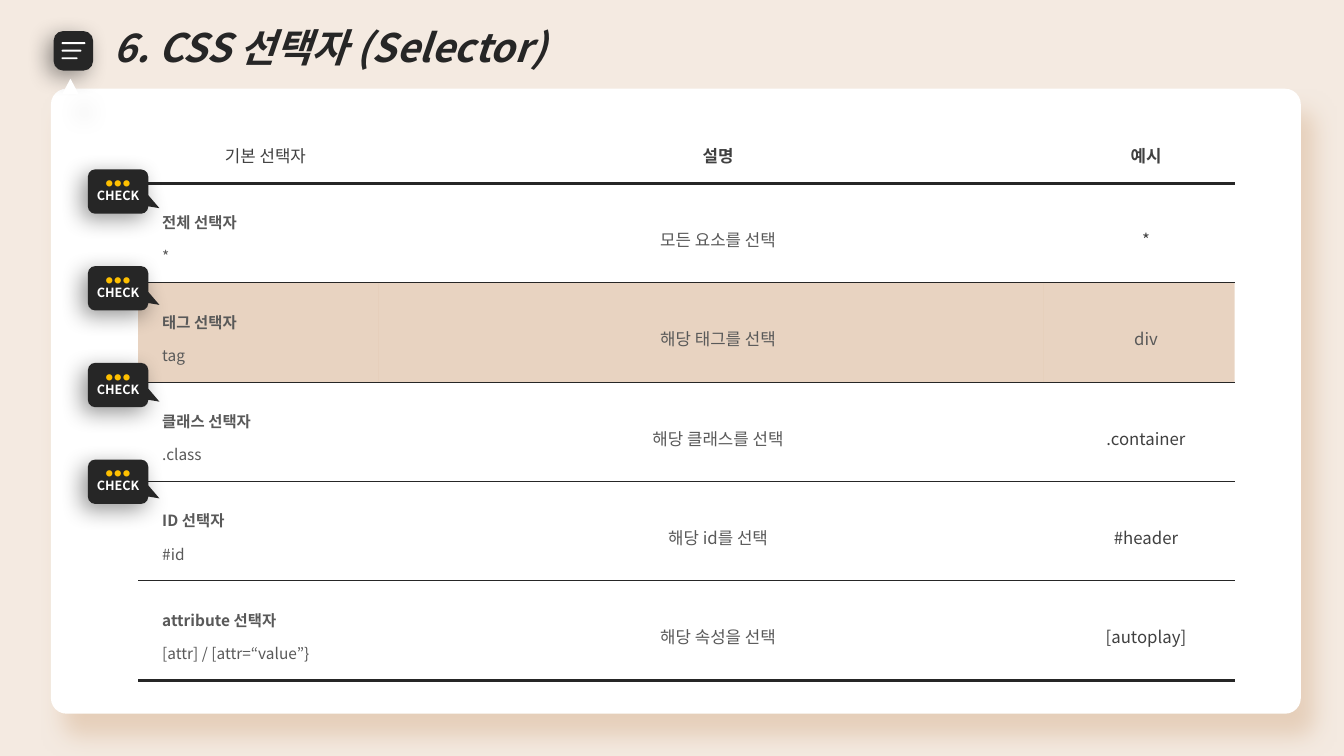
from dataclasses import dataclass

import pptx
import pptx.dml.color
import pptx.enum.shapes
import pptx.enum.text
import pptx.oxml
import pptx.oxml.ns
import pptx.util

Pt = pptx.util.Pt
RGB = pptx.dml.color.RGBColor.from_string
SHAPE = pptx.enum.shapes.MSO_SHAPE
ALIGN = pptx.enum.text.PP_ALIGN
MIDDLE = pptx.enum.text.MSO_ANCHOR.MIDDLE
NAMESPACE = pptx.oxml.ns.nsdecls("a")


@dataclass(frozen=True)
class Theme:
    font: str = "Noto Sans CJK KR"
    background: str = "F4EAE1"
    white: str = "FFFFFF"
    dark: str = "262626"
    strong: str = "404040"
    body: str = "595959"
    yellow: str = "FFC000"
    highlight: str = "C49060"
    panel_shadow: str = "E1C6AD"
    black: str = "000000"
    title_size: float = 28
    cell_size: float = 12
    name_size: float = 11
    check_size: float = 9
    dots_size: float = 5


theme = Theme()


def add_block(kind, box, color, adjustments=(), shadow=None):
    """Add a filled shape; shadow is (color, opacity %, blur, distance, degrees)."""
    block = page.shapes.add_shape(kind, *map(Pt, box))
    for index, value in enumerate(adjustments):
        block.adjustments[index] = value
    block.fill.solid()
    block.fill.fore_color.rgb = RGB(color)
    block.line.fill.background()
    block.shadow.inherit = False
    if shadow:
        tint, opacity, blur, distance, degrees = shadow
        effects = block._element.spPr.find(pptx.oxml.ns.qn("a:effectLst"))
        effects.append(pptx.oxml.parse_xml(
            f'<a:outerShdw {NAMESPACE} blurRad="{Pt(blur)}" dist="{Pt(distance)}" '
            f'dir="{degrees * 60000}" algn="ctr" rotWithShape="0">'
            f'<a:srgbClr val="{tint}"><a:alpha val="{opacity * 1000}"/></a:srgbClr>'
            f'</a:outerShdw>'))
    return block


def style_text(para, size, color, bold=False, align=ALIGN.LEFT):
    para.alignment = align
    for span in para.runs:
        span.font.name = theme.font
        span.font.size = Pt(size)
        span.font.bold = bold
        span.font.color.rgb = RGB(color)
        span.font._element.append(pptx.oxml.parse_xml(
            f'<a:ea {NAMESPACE} typeface="{theme.font}"/>'))


deck = pptx.Presentation()
deck.slide_width, deck.slide_height = Pt(960), Pt(540)
page = deck.slides.add_slide(deck.slide_layouts[6])
page.background.fill.solid()
page.background.fill.fore_color.rgb = RGB(theme.background)

# Panel, menu icon and pointer
icon_shadow = (theme.black, 40, 16, 6, 135)
add_block(SHAPE.ROUNDED_RECTANGLE, (36.4, 63.4, 892.8, 446.4), theme.white,
          [0.025], (theme.panel_shadow, 75, 16, 19, 60))
add_block(SHAPE.ROUNDED_RECTANGLE, (38.3, 22.2, 28.2, 28.2), theme.dark, [0.242], icon_shadow)
for index, width in enumerate((17, 14.2, 11.4)):
    add_block(SHAPE.ROUNDED_RECTANGLE, (44, 30.1 + 5.4 * index, width, 1.4), theme.white, [0.5])
add_block(SHAPE.ISOSCELES_TRIANGLE, (44.6, 56.2, 11.5, 10.8), theme.white,
          shadow=(theme.black, 11, 16, 19, 60))

# Title
title = page.shapes.add_textbox(Pt(74.2), Pt(13), Pt(565.2), Pt(41))
title.text_frame.word_wrap = True
title.text_frame.text = "6. CSS 선택자 (Selector)"
style_text(title.text_frame.paragraphs[0], theme.title_size, theme.dark, True)
title.text_frame.paragraphs[0].runs[0].font.italic = True

# Selector table
headings = ("기본 선택자", "설명", "예시")
selectors = (
    ("전체 선택자\n*", "모든 요소를 선택", "*"),
    ("태그 선택자\ntag", "해당 태그를 선택", "div"),
    ("클래스 선택자\n.class", "해당 클래스를 선택", ".container"),
    ("ID 선택자\n#id", "해당 id를 선택", "#header"),
    ("attribute 선택자\n[attr] / [attr=“value”}", "해당 속성을 선택", "[autoplay]"),
)
highlighted_row = 2
column_widths = (172, 474.6, 136.8)
row_heights = (39.6,) + (71,) * len(selectors)
frame = page.shapes.add_table(len(row_heights), len(column_widths), Pt(98.6), Pt(91.4),
                              Pt(sum(column_widths)), Pt(sum(row_heights)))
table = frame.table
table.first_row = table.horz_banding = False
style_id = next(frame._element.iter(pptx.oxml.ns.qn("a:tableStyleId")))
style_id.text = "{2D5ABB26-0587-4C30-8999-92F81FD0307C}"
for column, width in zip(table.columns, column_widths):
    column.width = Pt(width)
for row, height in zip(table.rows, row_heights):
    row.height = Pt(height)

rule_widths = (0, 2.25, 0.75, 0.75, 0.75, 0.75, 2.25)
for row_index, texts in enumerate((headings,) + selectors):
    for column_index, text in enumerate(texts):
        cell = table.cell(row_index, column_index)
        cell.vertical_anchor = MIDDLE
        cell.margin_left, cell.margin_right = Pt(17.3), Pt(7.2)
        cell.margin_top = cell.margin_bottom = Pt(3.6)
        cell.text_frame.text = text
        for line_index, para in enumerate(cell.text_frame.paragraphs):
            if row_index == 0:
                style_text(para, theme.cell_size, theme.strong, column_index > 0, ALIGN.CENTER)
                continue
            para.line_spacing = 1.5
            if column_index == 0:
                style_text(para, theme.name_size, theme.body, line_index == 0)
            else:
                strong = column_index == 2 and row_index != highlighted_row
                style_text(para, theme.cell_size, theme.strong if strong else theme.body,
                           align=ALIGN.CENTER)

        properties = cell._tc.get_or_add_tcPr()
        if row_index == highlighted_row:
            cell.fill.solid()
            cell.fill.fore_color.rgb = RGB(theme.highlight)
            tint = next(properties.iter(pptx.oxml.ns.qn("a:srgbClr")))
            tint.append(pptx.oxml.parse_xml(f'<a:alpha {NAMESPACE} val="39000"/>'))
        else:
            cell.fill.background()
        for position, (side, width) in enumerate(zip(("lnT", "lnB"), rule_widths[row_index:])):
            paint = f'<a:solidFill><a:srgbClr val="{theme.dark}"/></a:solidFill>'
            properties.insert(position, pptx.oxml.parse_xml(
                f'<a:{side} {NAMESPACE} w="{Pt(width)}">'
                f'{paint if width else "<a:noFill/>"}</a:{side}>'))

# Check callouts
for index in range(4):
    callout = add_block(SHAPE.ROUNDED_RECTANGULAR_CALLOUT, (62.8, 121 + 69.1 * index, 43.2, 31.7),
                        theme.dark, (0.684, 0.375, 0.167), icon_shadow)
    callout.text_frame.word_wrap = False
    callout.text_frame.vertical_anchor = MIDDLE
    callout.text_frame.text = "● ● ●\nCHECK"
    dots, label = callout.text_frame.paragraphs
    style_text(dots, theme.dots_size, theme.yellow, True, ALIGN.CENTER)
    style_text(label, theme.check_size, theme.white, True, ALIGN.CENTER)

deck.save("out.pptx")
